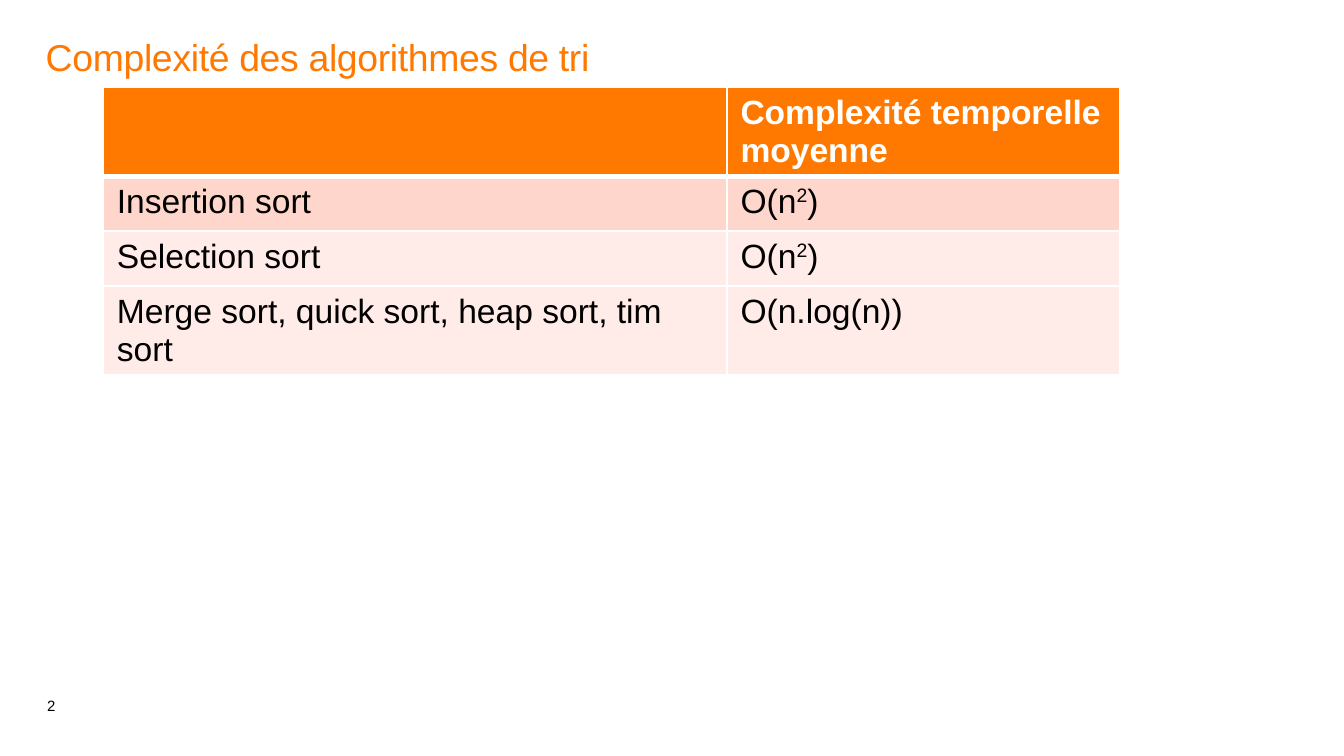
from lxml import etree
from pptx import Presentation
from pptx import util as u
from pptx.dml.color import RGBColor
from pptx.enum import text
from pptx.oxml import ns

theme = {
    "font": "Arial",
    "accent": "FF7900",
    "ink": "000000",
    "paper": "FFFFFF",
    "band": "FFD6CC",
    "pale": "FFEBE7",
    "title_size": 20,
    "table_size": 18,
    "number_size": 8,
    "header_borders": {"lnL": 0.96, "lnR": 0.96, "lnT": 0.96, "lnB": 3},
}


def add_run(paragraph, words, size, color, bold=False, **properties):
    run = paragraph.add_run()
    run.text = words
    formats = {"name": theme["font"], "size": u.Pt(theme[size]), "bold": bold}
    for name, value in formats.items():
        setattr(run.font, name, value)
    run.font.color.rgb = RGBColor.from_string(theme[color])
    for name, value in properties.items():
        run._r.get_or_add_rPr().set(name, value)


def format_frame(shape, anchor, left_inset=0):
    formats = {
        "margin_left": u.Inches(left_inset), "margin_right": 0,
        "margin_top": 0, "margin_bottom": 0, "word_wrap": True,
        "auto_size": text.MSO_AUTO_SIZE.NONE, "vertical_anchor": anchor,
    }
    for name, value in formats.items():
        setattr(shape.text_frame, name, value)
    paragraph = shape.text_frame.paragraphs[0]
    paragraph.alignment = text.PP_ALIGN.LEFT
    return paragraph


presentation = Presentation()
presentation.slide_width = u.Inches(10)
presentation.slide_height = presentation.slide_width * 9 // 16
slide = presentation.slides.add_slide(presentation.slide_layouts[5])
margin = u.Inches(0.34)

title = slide.shapes.title
placement = {"left": margin, "top": u.Inches(0.29),
             "width": u.Inches(9.31), "height": u.Inches(0.81)}
for name, value in placement.items():
    setattr(title, name, value)
paragraph = format_frame(title, text.MSO_ANCHOR.TOP)
paragraph.line_spacing = 0.9
add_run(paragraph, "Complexité des algorithmes de tri", "title_size", "accent", spc="-20")

rows = [
    (0.66, "accent", (), ("Complexité temporelle moyenne",)),
    (0.41, "band", ("Insertion sort",), ("O(n", "2", ")")),
    (0.41, "pale", ("Selection sort",), ("O(n", "2", ")")),
    (0.66, "pale", ("Merge sort, quick sort, heap sort, tim sort",), ("O(n.log(n))",)),
]
columns = [4.64, 2.92]
table = slide.shapes.add_table(
    len(rows), len(columns), u.Inches(0.77), u.Inches(0.65),
    u.Inches(sum(columns)), u.Inches(sum(row[0] for row in rows))).table
for column, width in zip(table.columns, columns):
    column.width = u.Inches(width)

for index, (height, fill, algorithm, complexity) in enumerate(rows):
    table.rows[index].height = u.Inches(height)
    header = index == 0
    for cell, parts in zip(table.rows[index].cells, (algorithm, complexity)):
        if header:
            properties = cell._tc.get_or_add_tcPr()
            for side, weight in theme["header_borders"].items():
                border = etree.SubElement(properties, ns.qn(f"a:{side}"), w=str(u.Pt(weight)))
                solid = etree.SubElement(border, ns.qn("a:solidFill"))
                etree.SubElement(solid, ns.qn("a:srgbClr"), val=theme["paper"])
        cell.fill.solid()
        cell.fill.fore_color.rgb = RGBColor.from_string(theme[fill])
        for position, part in enumerate(parts):
            raised = {"baseline": "33000"} if position == 1 else {}
            add_run(cell.text_frame.paragraphs[0], part, "table_size",
                    "paper" if header else "ink", header, **raised)

number = slide.shapes.add_textbox(margin, u.Inches(4.96), u.Inches(0.29), u.Inches(0.36))
paragraph = format_frame(number, text.MSO_ANCHOR.BOTTOM, 0.01)
paragraph.line_spacing = 0.85
paragraph.space_after = u.Pt(12)
add_run(paragraph, "2", "number_size", "ink")

presentation.save("out.pptx")
